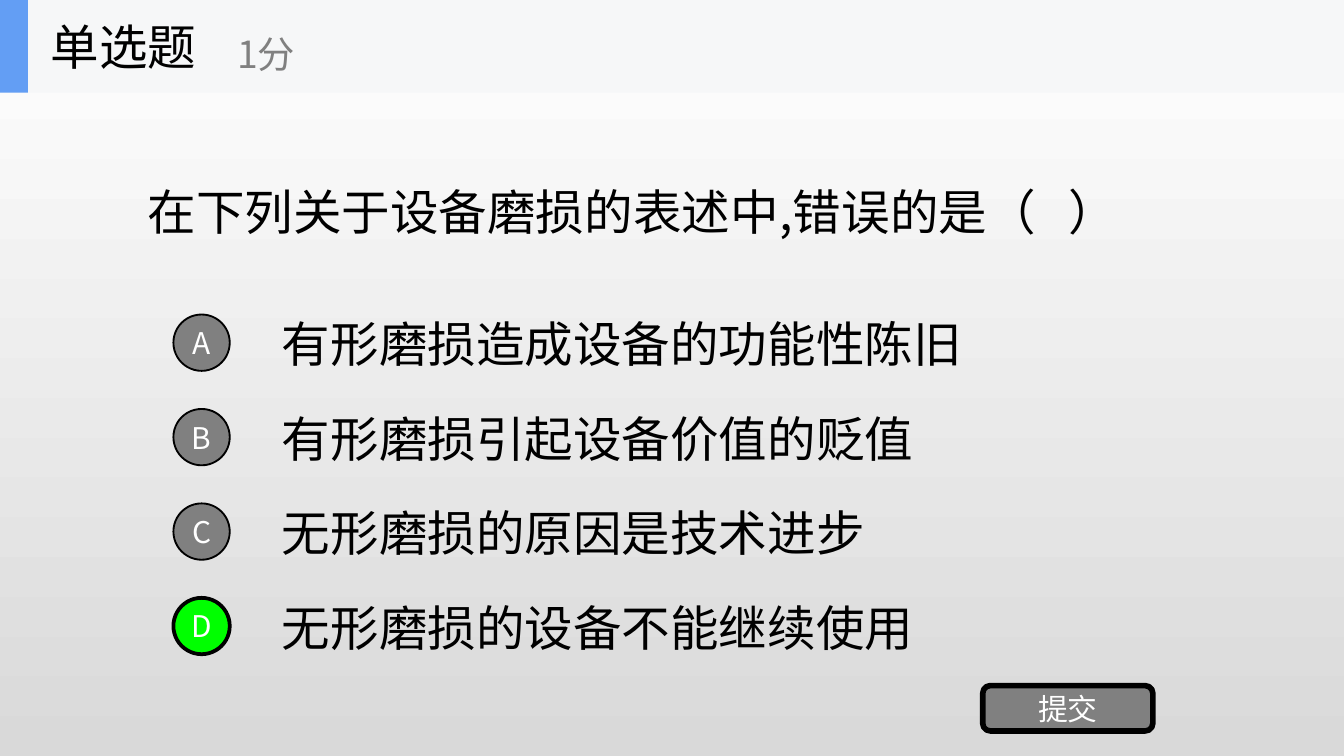
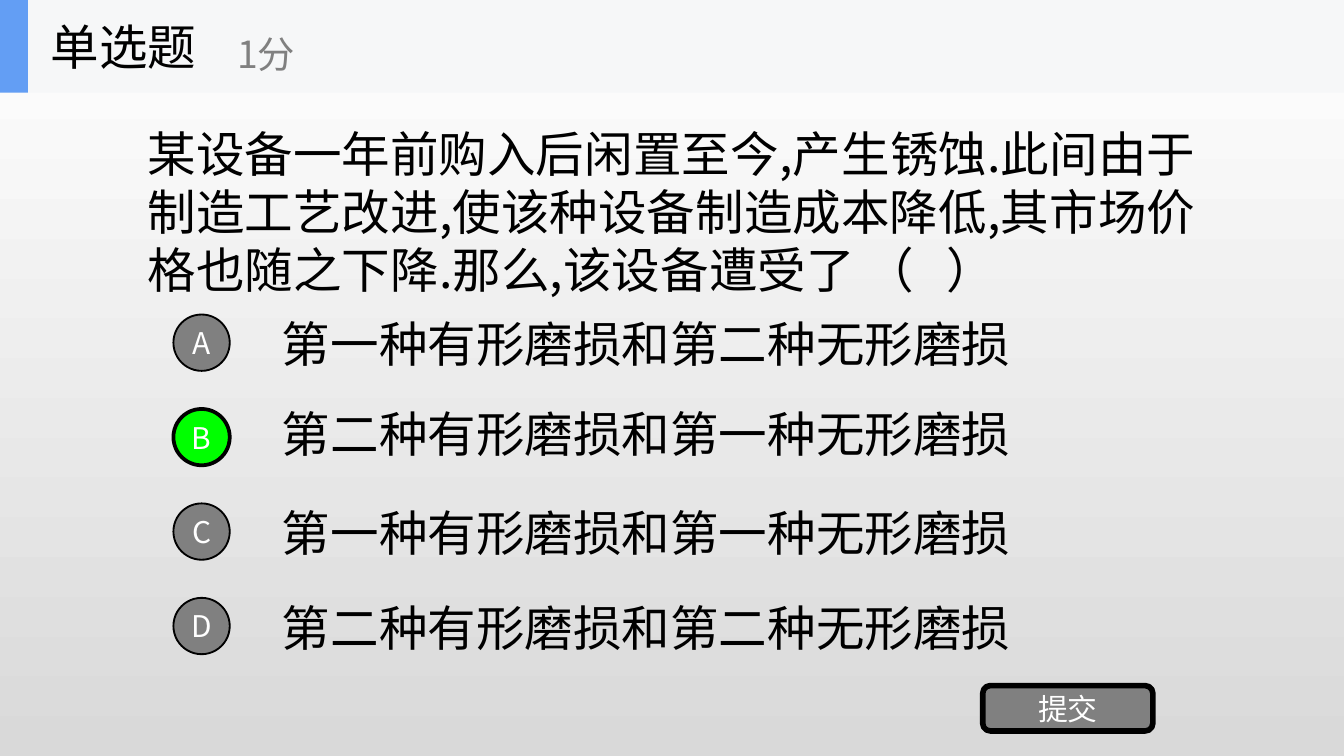
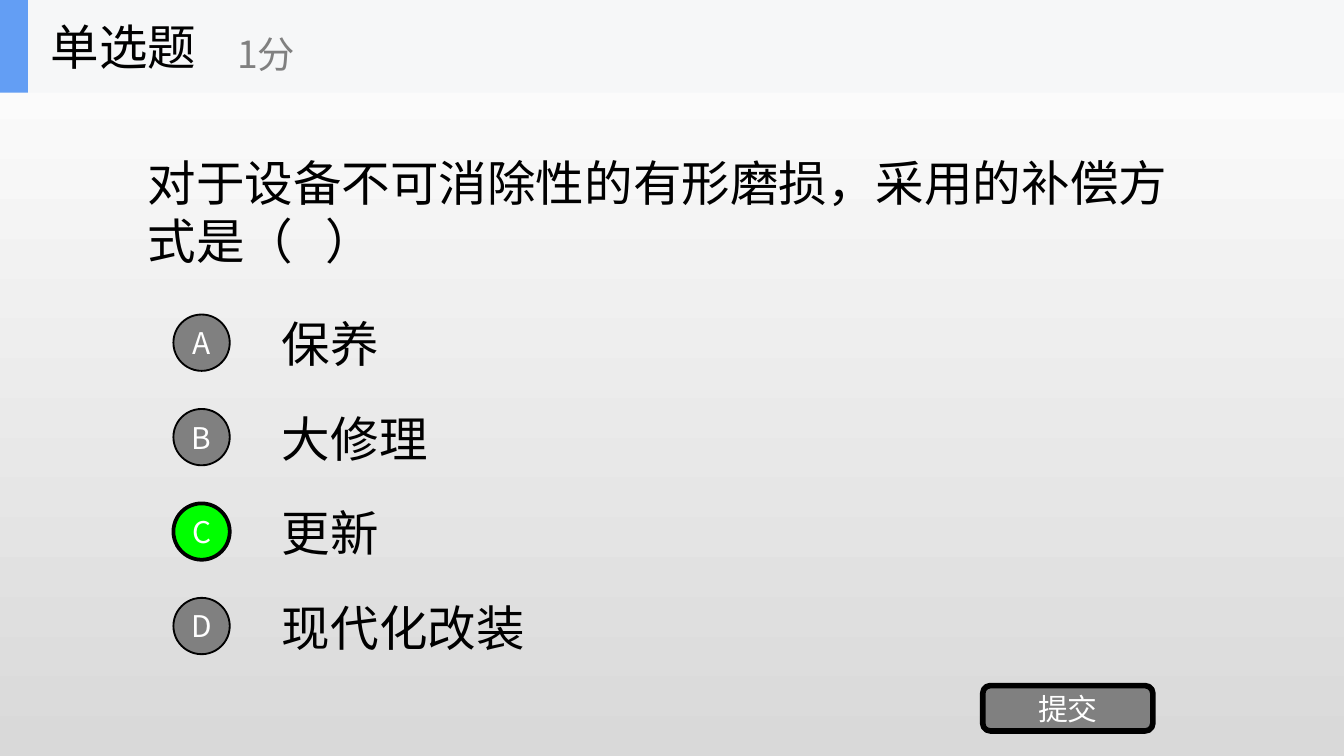
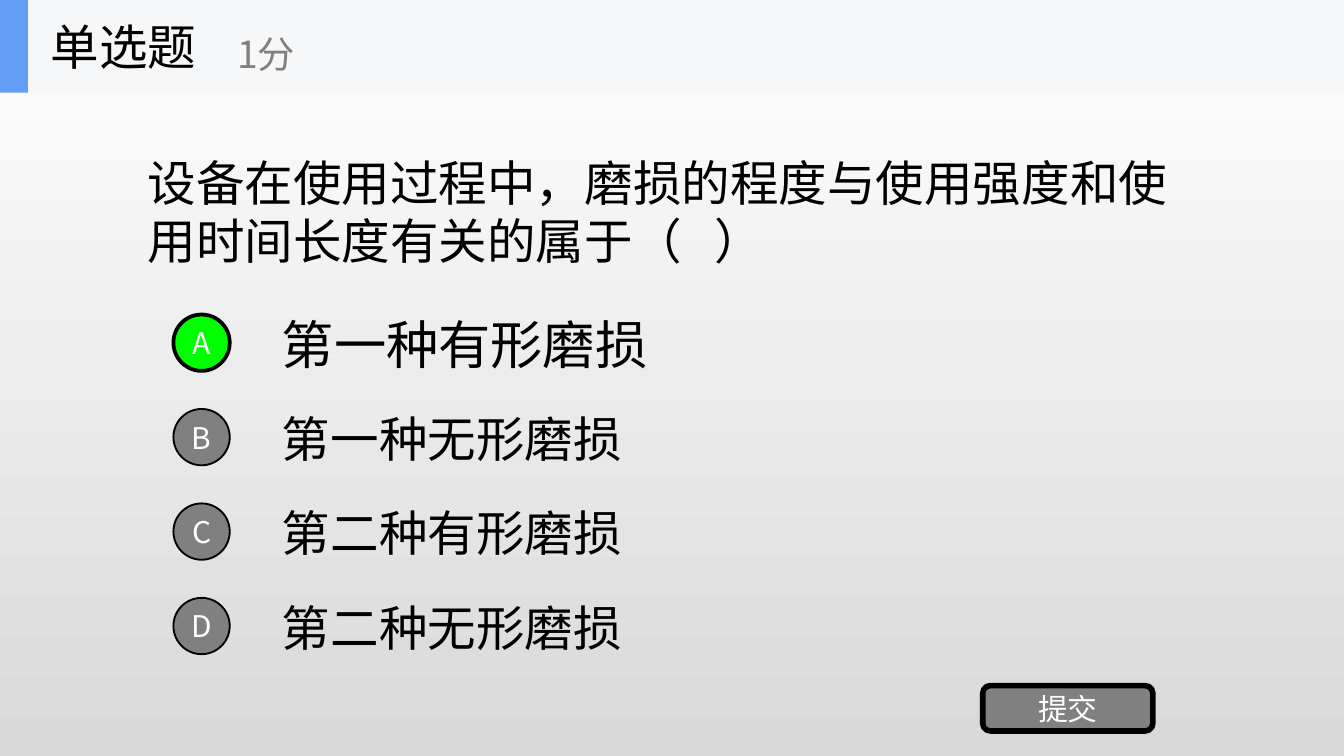
from lxml import etree
from pptx import Presentation
from pptx.dml.color import RGBColor
from pptx.enum import shapes as kinds, text as txt
from pptx.oxml import ns
from pptx.util import Pt

# Theme: colours, type sizes and fonts
THEME = {
    "ink": "000000", "grey": "808080", "white": "FFFFFF", "correct": "00FF00",
    "band": "F6F7F8", "accent": "639EF4", "bg_top": "FFFFFF", "bg_bottom": "D9D9D9",
    "body": 26, "large": 28, "points": 20, "label": 16,
    "font": "Noto Sans CJK SC", "alt_font": "Arial",
}
SHAPE = kinds.MSO_SHAPE

# Layout in points
WIDTH, HEIGHT = 720, 405
BAND_HEIGHT = 49.7
ROW_PITCH = 50.6
OPTION_TOP, OPTION_HEIGHT = 164.9, 38.2
BADGE_TOP, BADGE_SIZE = 168.5, 30.2


def write(shape, words, size, color, font=THEME["font"], wrap=True, centred=False):
    """Fill a shape with one vertically centred paragraph."""
    frame = shape.text_frame
    frame_format = {"word_wrap": wrap, "vertical_anchor": txt.MSO_ANCHOR.MIDDLE}
    if centred:
        frame_format.update(dict.fromkeys(
            ("margin_left", "margin_right", "margin_top", "margin_bottom"), 0))
    for key, value in frame_format.items():
        setattr(frame, key, value)
    paragraph = frame.paragraphs[0]
    paragraph.alignment = txt.PP_ALIGN.CENTER if centred else txt.PP_ALIGN.LEFT
    run = paragraph.add_run()
    run.text = words
    for key, value in {"size": Pt(THEME[size]), "name": font}.items():
        setattr(run.font, key, value)
    run.font.color.rgb = RGBColor.from_string(THEME[color])
    latin = run.font._element.find(ns.qn("a:latin"))
    east_asian = etree.Element(ns.qn("a:ea"), typeface=THEME["font"])
    latin.addnext(east_asian)


def draw(parent, kind, box, fill, line_width=0):
    """Add a flat preset shape, outlined when a line width is given."""
    shape = parent.add_shape(kind, *map(Pt, box))
    shape.shadow.inherit = False
    shape.fill.solid()
    shape.fill.fore_color.rgb = RGBColor.from_string(THEME[fill])
    if line_width:
        shape.line.width = Pt(line_width)
        shape.line.color.rgb = RGBColor.from_string(THEME["ink"])
    else:
        shape.line.fill.background()
    return shape


# Questions: wording, options, correct letter
QUESTIONS = [
    ("在下列关于设备磨损的表述中,错误的是（   ）",
     ["有形磨损造成设备的功能性陈旧", "有形磨损引起设备价值的贬值",
      "无形磨损的原因是技术进步", "无形磨损的设备不能继续使用"], "D"),
    ("某设备一年前购入后闲置至今,产生锈蚀.此间由于制造工艺改进,使该种设备制造成本降低,"
     "其市场价格也随之下降.那么,该设备遭受了 （   ）",
     ["第一种有形磨损和第二种无形磨损", "第二种有形磨损和第一种无形磨损",
      "第一种有形磨损和第一种无形磨损", "第二种有形磨损和第二种无形磨损"], "B"),
    ("对于设备不可消除性的有形磨损，采用的补偿方式是（   ）",
     ["保养", "大修理", "更新", "现代化改装"], "C"),
    ("设备在使用过程中，磨损的程度与使用强度和使用时间长度有关的属于（   ）",
     ["第一种有形磨损", "第一种无形磨损", "第二种有形磨损", "第二种无形磨损"], "A"),
]
# Options that depart from the grid or the body style, by question and letter
RAISED = {(2, "B"): 2.7}
RESTYLED = {(4, "A"): {"size": "large", "font": THEME["alt_font"]}}

deck = Presentation()
deck.slide_width, deck.slide_height = Pt(WIDTH), Pt(HEIGHT)

for number, (question, options, answer) in enumerate(QUESTIONS, 1):
    slide = deck.slides.add_slide(deck.slide_layouts[6])

    # Background
    backdrop = slide.background.fill
    backdrop.gradient()
    backdrop.gradient_angle = 270
    for stop, place, color in zip(backdrop.gradient_stops, (0, 1), ("bg_top", "bg_bottom")):
        stop.position = place
        stop.color.rgb = RGBColor.from_string(THEME[color])

    # Question
    stem = slide.shapes.add_textbox(Pt(72), Pt(BAND_HEIGHT), Pt(576), Pt(126.6))
    write(stem, question, "body", "ink")

    # Option wording
    for row, (letter, option) in enumerate(zip("ABCD", options)):
        top = OPTION_TOP + row * ROW_PITCH - RAISED.get((number, letter), 0)
        answer_text = slide.shapes.add_textbox(Pt(144), Pt(top), Pt(504), Pt(OPTION_HEIGHT))
        style = {"size": "body", "color": "ink"} | RESTYLED.get((number, letter), {})
        write(answer_text, option, **style)

    # Letter badges, the correct one in green
    for row, letter in enumerate("ABCD"):
        fill, outline = ("correct", 2) if letter == answer else ("grey", 1)
        box = (92.9, BADGE_TOP + row * ROW_PITCH, BADGE_SIZE, BADGE_SIZE)
        badge = draw(slide.shapes, SHAPE.OVAL, box, fill, outline)
        write(badge, letter, "label", "white", centred=True)

    # Submit button
    submit = draw(slide.shapes, SHAPE.ROUNDED_RECTANGLE, (526.5, 367.3, 91.1, 24.3), "grey", 3)
    write(submit, "提交", "label", "white", centred=True)

    # Header band with question type and points
    header = slide.shapes.add_group_shape().shapes
    draw(header, SHAPE.RECTANGLE, (0, 0, WIDTH, BAND_HEIGHT), "band")
    draw(header, SHAPE.RECTANGLE, (0, 0, 15, BAND_HEIGHT), "accent")
    for words, box, size, color in (
        ("单选题", (20, 0, 150, BAND_HEIGHT), "body", "ink"),
        ("1分", (120, 8.6, 180, 40.3), "points", "grey"),
    ):
        caption = header.add_textbox(*map(Pt, box))
        write(caption, words, size, color, wrap=False)

deck.save("out.pptx")
